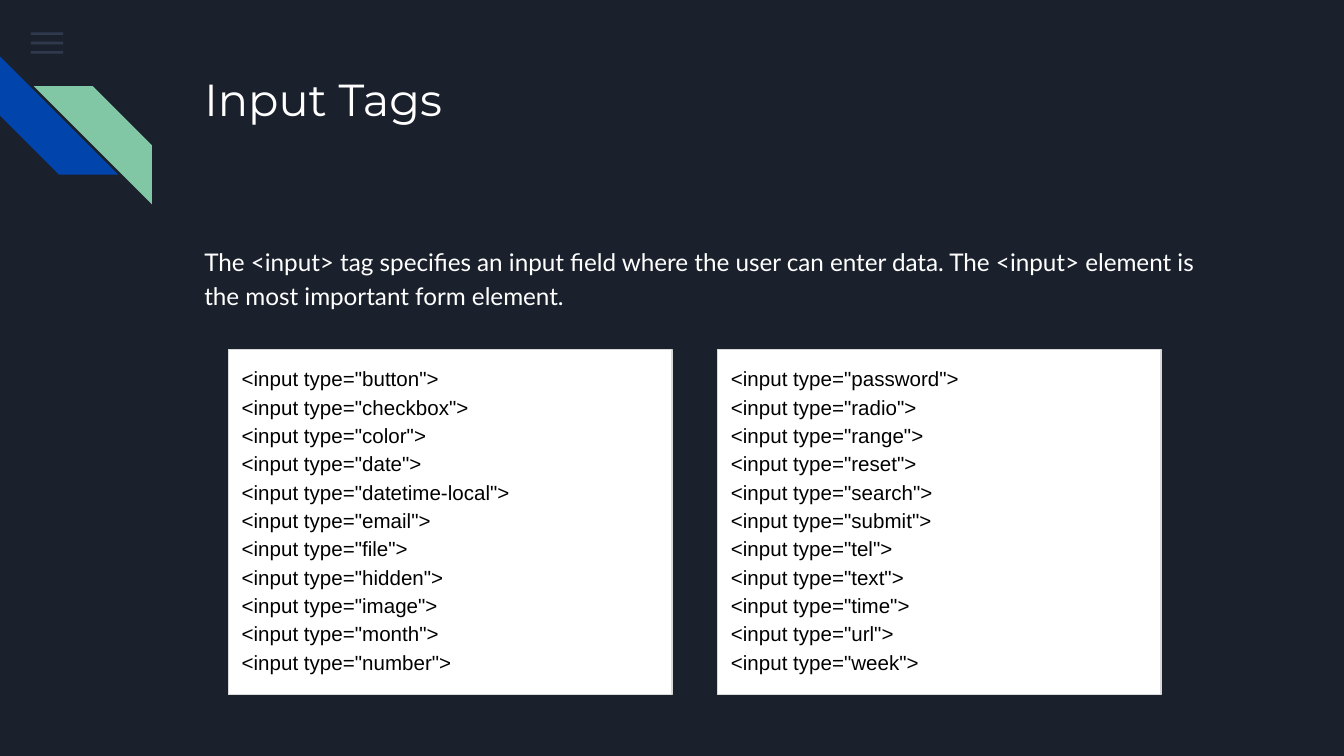
"""Build the Input Tags slide."""
import dataclasses

import lxml.etree
import pptx
import pptx.dml.color
import pptx.enum.shapes
import pptx.enum.text
import pptx.oxml.ns
import pptx.util

Inches = pptx.util.Inches
SHAPE = pptx.enum.shapes.MSO_SHAPE

INTRO = ("The <input> tag specifies an input field where the user can enter data. "
         "The <input> element is the most important form element.")
TYPE_COLUMNS = [
    ["button", "checkbox", "color", "date", "datetime-local", "email",
     "file", "hidden", "image", "month", "number"],
    ["password", "radio", "range", "reset", "search", "submit",
     "tel", "text", "time", "url", "week"],
]


@dataclasses.dataclass(frozen=True)
class Theme:
    background: str = "1B212C"
    menu: str = "55688B"
    blue: str = "0145AC"
    green: str = "82C7A5"
    white: str = "FFFFFF"
    black: str = "000000"
    border: str = "D9D9D9"
    title_font: str = "Montserrat"
    body_font: str = "Lato"
    code_font: str = "Arial"
    title_size: int = 24
    body_size: int = 13
    code_size: int = 11


THEME = Theme()


def rgb(value):
    return pptx.dml.color.RGBColor.from_string(value)


def place(sp, left, top, width, height):
    sp.left, sp.top = Inches(left), Inches(top)
    sp.width, sp.height = Inches(width), Inches(height)


def write_text(sp, lines, *, font, size, color, spacing=1.0, after=0):
    tf = sp.text_frame
    tf.word_wrap = True
    tf.auto_size = pptx.enum.text.MSO_AUTO_SIZE.NONE
    tf.vertical_anchor = pptx.enum.text.MSO_ANCHOR.TOP
    tf.margin_left = tf.margin_right = tf.margin_top = tf.margin_bottom = Inches(0.1)
    for i, line in enumerate(lines):
        p = tf.add_paragraph() if i else tf.paragraphs[0]
        p.alignment = pptx.enum.text.PP_ALIGN.LEFT
        p.line_spacing = spacing
        p.space_before = pptx.util.Pt(0)
        p.space_after = pptx.util.Pt(after)
        pPr = p._p.get_or_add_pPr()
        pPr.set("marL", "0")
        pPr.set("indent", "0")
        lxml.etree.SubElement(pPr, pptx.oxml.ns.qn("a:buNone"))
        r = p.add_run()
        r.text = line
        r.font.name = font
        r.font.size = pptx.util.Pt(size)
        r.font.color.rgb = rgb(color)


def add_block(s, kind, left, top, width, height, fill, line=None):
    sp = s.shapes.add_shape(kind, Inches(left), Inches(top), Inches(width), Inches(height))
    sp.shadow.inherit = False
    sp.fill.solid()
    sp.fill.fore_color.rgb = rgb(fill)
    if line:
        sp.line.color.rgb = rgb(line)
        sp.line.width = pptx.util.Pt(0.75)
    else:
        sp.line.fill.background()
    return sp


def add_menu_icon(s):
    for i in range(3):
        bar = add_block(s, SHAPE.RECTANGLE, 0.23, 0.24 + 0.07 * i, 0.24, 0.02, THEME.menu)
        color = bar._element.spPr.find(".//" + pptx.oxml.ns.qn("a:srgbClr"))
        lxml.etree.SubElement(color, pptx.oxml.ns.qn("a:alpha"), val="36000")


def add_stripes(s):
    blue = add_block(s, SHAPE.DIAGONAL_STRIPE, 0, 0.42, 0.88, 0.88, THEME.blue)
    blue.rotation = 270
    green = add_block(s, SHAPE.DIAGONAL_STRIPE, 0.25, 0.64, 0.88, 0.88, THEME.green)
    green._element.spPr.xfrm.set("flipH", "1")


def add_code_box(s, left, types):
    sp = add_block(s, SHAPE.RECTANGLE, left, 2.6, 3.3, 2.57, THEME.white, THEME.border)
    write_text(sp, [f'<input type="{t}">' for t in types], font=THEME.code_font,
               size=THEME.code_size, color=THEME.black, spacing=1.15)


def main():
    prs = pptx.Presentation()
    prs.slide_width, prs.slide_height = Inches(10), Inches(10 * 9 / 16)
    s = prs.slides.add_slide(prs.slide_layouts[1])
    s.background.fill.solid()
    s.background.fill.fore_color.rgb = rgb(THEME.background)
    add_menu_icon(s)
    add_stripes(s)
    title, body = s.placeholders
    place(title, 1.42, 0.43, 7.7, 1)
    write_text(title, ["Input Tags"], font=THEME.title_font,
               size=THEME.title_size, color=THEME.white)
    place(body, 1.42, 1.71, 7.7, 3.18)
    write_text(body, [INTRO], font=THEME.body_font, size=THEME.body_size,
               color=THEME.white, spacing=1.15, after=16)
    for i, types in enumerate(TYPE_COLUMNS):
        add_code_box(s, 1.7 + 3.64 * i, types)
    prs.save("out.pptx")


if __name__ == "__main__":
    main()
